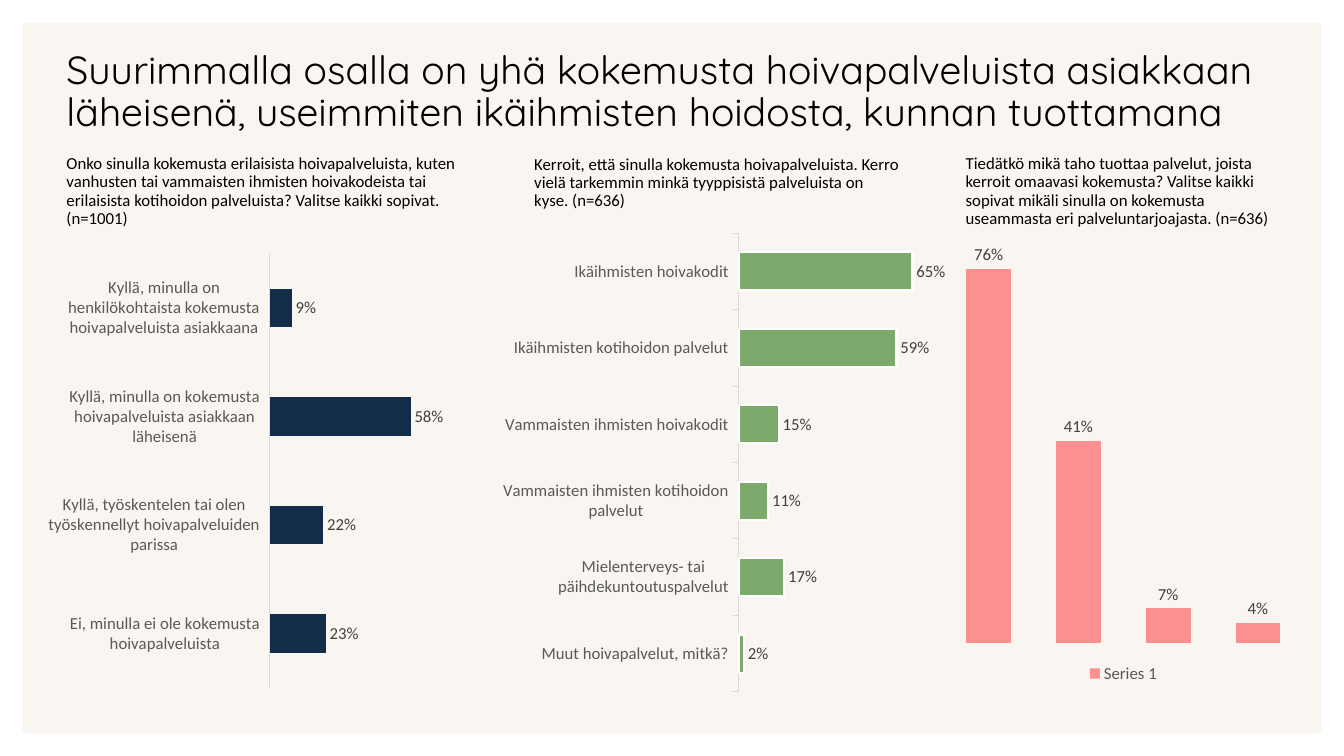
from lxml import etree
from pptx import Presentation
from pptx.chart.data import CategoryChartData
from pptx.dml.color import RGBColor
from pptx.enum.chart import XL_CHART_TYPE as CT, XL_LABEL_POSITION as LP
from pptx.enum.chart import XL_LEGEND_POSITION as LEG, XL_TICK_MARK as TM
from pptx.enum.chart import XL_TICK_LABEL_POSITION as TLP
from pptx.enum.shapes import MSO_SHAPE
from pptx.enum.text import MSO_ANCHOR as ANC
from pptx.oxml.ns import qn
from pptx.util import Pt

PERCENT = "###0%"


def rgb(value):
    return RGBColor.from_string(value)


def set_font(font, size, color, name="Calibri"):
    font.size, font.name = Pt(size), name
    font.color.rgb = rgb(color)


def write(tf, text, size=12, color="000000", name="Calibri", spacing=0.9):
    p = tf.paragraphs[0]
    p.line_spacing = spacing
    r = p.add_run()
    r.text = text
    set_font(r.font, size, color, name)


def set_plot_area(chart, x, y, w, h):
    """Fix the inner plot area as fractions of the chart frame."""
    plot_area = chart.plots[0]._element.getparent()
    for old in plot_area.findall(qn("c:layout")):
        plot_area.remove(old)
    layout = etree.Element(qn("c:layout"))
    manual = etree.SubElement(layout, qn("c:manualLayout"))
    settings = [("layoutTarget", "inner"), ("xMode", "edge"), ("yMode", "edge"),
                ("x", x), ("y", y), ("w", w), ("h", h)]
    for tag, val in settings:
        etree.SubElement(manual, qn("c:" + tag)).set("val", str(val))
    plot_area.insert(0, layout)


class SurveySlide:
    label_color, axis_color, axis_line = "404040", "595959", "D9D9D9"

    def __init__(self, prs, background):
        self.s = prs.slides.add_slide(prs.slide_layouts[6])
        fill = self.s.background.fill
        fill.solid()
        fill.fore_color.rgb = rgb(background)

    def frame(self, w, h, color, thickness):
        sp = self.s.shapes.add_shape(MSO_SHAPE.FRAME, 0, 0, Pt(w), Pt(h))
        sp.shadow.inherit = False
        sp.adjustments[0] = thickness
        sp.fill.solid()
        sp.fill.fore_color.rgb = rgb(color)
        sp.line.fill.background()

    def text(self, box, text, anchor=ANC.TOP, **style):
        tf = self.s.shapes.add_textbox(*map(Pt, box)).text_frame
        tf.word_wrap = True
        tf.vertical_anchor = anchor
        tf.margin_left = tf.margin_right = Pt(2.9)
        tf.margin_top = tf.margin_bottom = Pt(2.9)
        write(tf, text, **style)

    def chart(self, kind, box, answers, color, plot_box, top, gap=100,
              tick=TM.NONE, outline=None, legend=False):
        data = CategoryChartData(number_format=PERCENT)
        data.categories = [name for name, _ in answers]
        data.add_series("Series 1", [value for _, value in answers])
        chart = self.s.shapes.add_chart(kind, *map(Pt, box), data).chart
        set_font(chart.font, 10, "000000")
        chart.has_title = False
        set_plot_area(chart, *plot_box)

        # Legend
        chart.has_legend = legend
        if legend:
            chart.legend.position = LEG.BOTTOM
            chart.legend.include_in_layout = False
            set_font(chart.legend.font, 12, self.axis_color)

        # Axes
        val, cat = chart.value_axis, chart.category_axis
        val.minimum_scale, val.maximum_scale = 0, top
        val.has_major_gridlines = False
        val.tick_labels.number_format = PERCENT
        val.tick_labels.number_format_is_linked = False
        val.visible = False
        if kind == CT.BAR_CLUSTERED:
            cat.reverse_order = True
            cat.major_tick_mark, cat.minor_tick_mark = tick, TM.NONE
            cat.tick_label_position = TLP.LOW
            cat.format.line.color.rgb = rgb(self.axis_line)
            cat.format.line.width = Pt(0.75)
            set_font(cat.tick_labels.font, 12, self.axis_color)
        else:
            cat.visible = False

        # Bars and value labels
        plot = chart.plots[0]
        plot.gap_width, plot.vary_by_categories = gap, False
        series = plot.series[0]
        series.invert_if_negative = False
        series.format.fill.solid()
        series.format.fill.fore_color.rgb = rgb(color)
        if outline:
            series.format.line.color.rgb = rgb(outline)
            series.format.line.width = Pt(1.5)
        labels = series.data_labels
        labels.show_value, labels.position = True, LP.OUTSIDE_END
        labels.number_format = PERCENT
        labels.number_format_is_linked = False
        set_font(labels.font, 12, self.label_color)


EXPERIENCE = [
    ("Kyllä, minulla on henkilökohtaista kokemusta hoivapalveluista asiakkaana", 0.09),
    ("Kyllä, minulla on kokemusta hoivapalveluista asiakkaan läheisenä", 0.58),
    ("Kyllä, työskentelen tai olen työskennellyt hoivapalveluiden parissa", 0.22),
    ("Ei, minulla ei ole kokemusta hoivapalveluista", 0.23),
]
SERVICES = [
    ("Ikäihmisten hoivakodit", 0.65),
    ("Ikäihmisten kotihoidon palvelut", 0.59),
    ("Vammaisten ihmisten hoivakodit", 0.15),
    ("Vammaisten ihmisten kotihoidon palvelut", 0.11),
    ("Mielenterveys- tai päihdekuntoutuspalvelut", 0.17),
    ("Muut hoivapalvelut, mitkä?", 0.02),
]
PROVIDERS = [("1", 0.76), ("2", 0.41), ("3", 0.07), ("4", 0.04)]


def main():
    prs = Presentation()
    prs.slide_width, prs.slide_height = Pt(960), Pt(540)
    slide = SurveySlide(prs, "F9F5F0")
    slide.frame(960, 540, "FFFFFF", 0.03)

    # Title
    slide.text((44.6, 31, 891.4, 68.4),
               "Suurimmalla osalla on yhä kokemusta hoivapalveluista asiakkaan "
               "läheisenä, useimmiten ikäihmisten hoidosta, kunnan tuottamana",
               anchor=ANC.BOTTOM, size=28, name="Quicksand")

    # Questions
    slide.text((44.6, 108, 293.8, 32.4),
               "Onko sinulla kokemusta erilaisista hoivapalveluista, kuten "
               "vanhusten tai vammaisten ihmisten hoivakodeista tai erilaisista "
               "kotihoidon palveluista? Valitse kaikki sopivat. (n=1001)")
    slide.text((378.7, 108.5, 267.8, 39.6),
               "Kerroit, että sinulla kokemusta hoivapalveluista. Kerro vielä "
               "tarkemmin minkä tyyppisistä palveluista on kyse. (n=636)")
    slide.text((686.9, 108, 230.4, 26),
               "Tiedätkö mikä taho tuottaa palvelut, joista kerroit omaavasi "
               "kokemusta? Valitse kaikki sopivat mikäli sinulla on kokemusta "
               "useammasta eri palveluntarjoajasta. (n=636)")

    # Answers
    slide.chart(CT.BAR_CLUSTERED, (34.6, 171.4, 303.8, 329.8), EXPERIENCE,
                "122D49", (0.52, 0.03, 0.4, 0.94), top=0.7, gap=182)
    slide.chart(CT.BAR_CLUSTERED, (355.7, 159.8, 319.7, 341.3), SERVICES,
                "7EA96C", (0.54, 0.02, 0.42, 0.96), top=0.7, tick=TM.OUTSIDE,
                outline="FFFFFF")
    slide.chart(CT.COLUMN_CLUSTERED, (668.9, 171.4, 267.1, 319.7), PROVIDERS,
                "FC9090", (0.02, 0.02, 0.96, 0.88), top=0.8, legend=True)

    prs.save("out.pptx")


if __name__ == "__main__":
    main()
